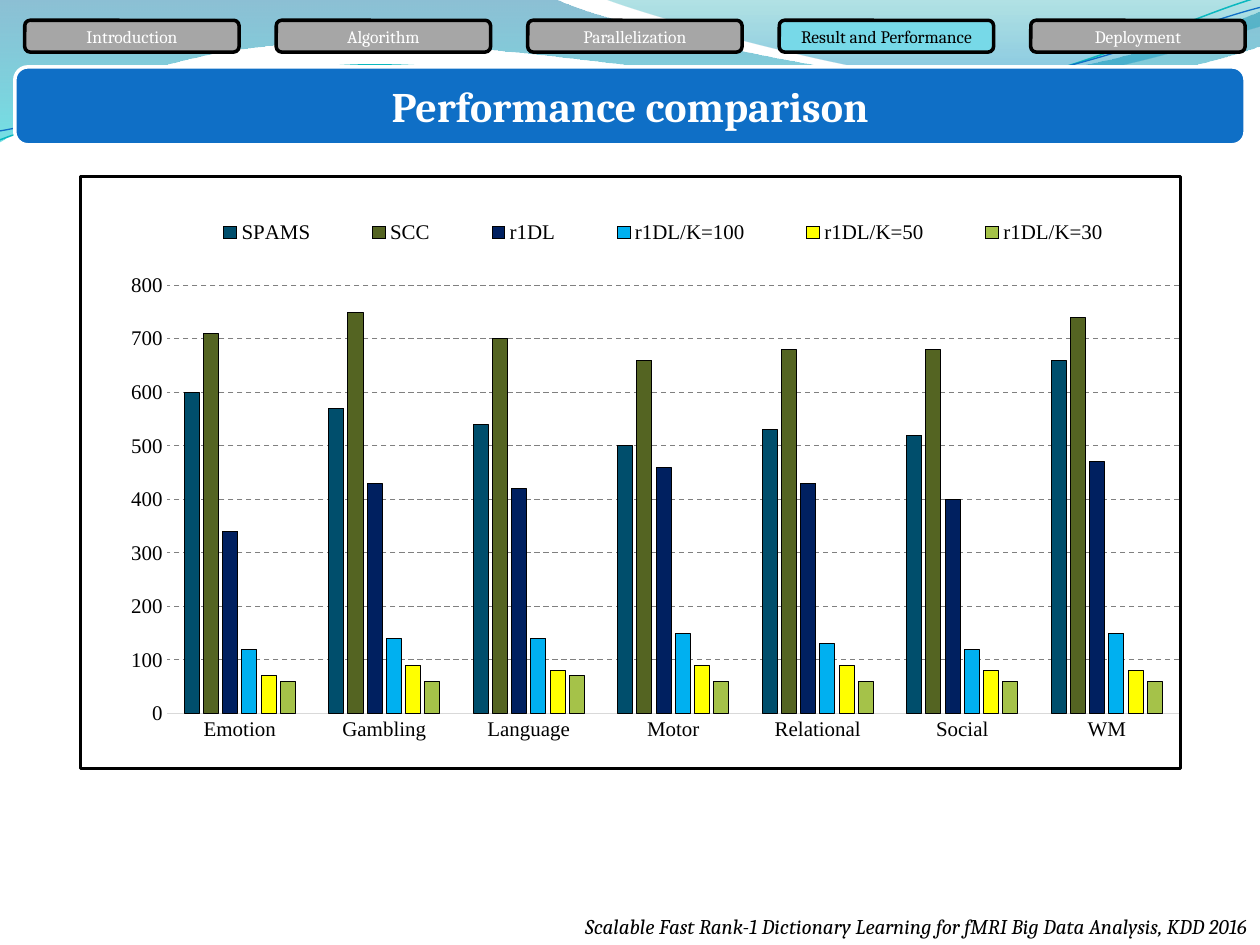
from lxml import etree
from pptx import Presentation, util as u
from pptx.chart.data import CategoryChartData
from pptx.dml.color import RGBColor
from pptx.enum import chart as ch, dml, shapes, text
from pptx.oxml import parse_xml
from pptx.oxml.ns import nsdecls, qn

Cm, Pt = u.Cm, u.Pt
SERIF = "Times New Roman"
BAR = Cm(0.3), Cm(1.35), Cm(24.8), Cm(1.57)

TABS = ["Introduction", "Algorithm", "Parallelization",
        "Result and Performance", "Deployment"]
ACTIVE = "Result and Performance"

# Wave outlines in cm: a step of one point is a line, of three a curve.
BACK = [(0, -.03)], [(11.18, -.03)], \
    [(12.09, .43), (16.87, 1.6), (19.25, 1.6)], \
    [(21.67, 1.6), (24.33, .66), (25.4, .23)], [(25.43, .91)], \
    [(24.97, 1.12), (22.1, 1.93), (18.95, 1.91)], \
    [(15.8, 1.91), (9.7, .71), (6.53, .86)], \
    [(3.28, .89), (1.17, 2.11), (-.03, 2.87)]
FRONT = [(12.17, -.03)], [(12.93, .28), (17.32, 1.57), (19.53, 1.65)], \
    [(21.74, 1.75), (24.41, .81), (25.4, .53)], [(25.4, 0)]
# The two thin curves are given level and then tilted.
TEAL = [(-.05, 2.22)], [(1.19, 1.82), (4.02, 1.04), (7.05, 1.05)], \
    [(10.05, 1.07), (15.02, 2.37), (18.08, 2.29)], \
    [(21.13, 2.2), (23.86, .91), (25.41, .55)]
BLUE = [(-.04, 2.04)], [(1.16, 1.9), (4.17, 1.15), (7.2, 1.16)], \
    [(10.25, 1.18), (15.13, 2.23), (18.19, 2.16)], \
    [(21.22, 2.1), (23.93, 1.06), (25.45, .75)]

TASKS = ["Emotion", "Gambling", "Language", "Motor", "Relational",
         "Social", "WM"]
SERIES = [
    ("SPAMS", "004E6C", (600, 570, 540, 500, 530, 520, 660)),
    ("SCC", "546422", (710, 750, 700, 660, 680, 680, 740)),
    ("r1DL", "002060", (340, 430, 420, 460, 430, 400, 470)),
    ("r1DL/K=100", "00B0F0", (120, 140, 140, 150, 130, 120, 150)),
    ("r1DL/K=50", "FFFF00", (70, 90, 80, 90, 90, 80, 80)),
    ("r1DL/K=30", "A5C249", (60, 60, 70, 60, 60, 60, 60)),
]


def paint(fill, tone):
    fill.solid()
    fill.fore_color.rgb = RGBColor.from_string(tone)


def stroke(line, tone, width):
    paint(line.fill, tone)
    line.width = Pt(width)


def style(font, size, tone, name="Cambria"):
    font.size, font.name = Pt(size), name
    font.color.rgb = RGBColor.from_string(tone)


def write(shape, words, align, size, tone):
    """Put one run in the shape and return its font."""
    frame = shape.text_frame
    frame.word_wrap = True
    para = frame.paragraphs[0]
    para.alignment = align
    run = para.add_run()
    run.text = words
    style(run.font, size, tone)
    return run.font


def add_path(slide, steps, close):
    """Build through all points, then join each three into one cubic curve."""
    pts = [(Cm(x), Cm(y)) for step in steps for x, y in step]
    pen = slide.shapes.build_freeform(*pts[0])
    pen.add_line_segments(pts[1:], close=close)
    shape = pen.convert_to_shape()
    shape.shadow.inherit = False
    legs = iter(list(shape._element.iter(qn("a:lnTo"))))
    for step in steps[1:]:
        group = [next(legs) for _ in step]
        if len(group) == 3:
            curve = etree.Element(qn("a:cubicBezTo"))
            group[0].addprevious(curve)
            for leg in group:
                curve.append(leg[0])
                leg.getparent().remove(leg)
    return shape


def add_wave(slide, steps, stops):
    """Add a closed wave; each stop is place, colour and opacity."""
    shape = add_path(slide, steps, True)
    shape.line.fill.background()
    shape.fill.gradient()
    shape.fill.gradient_angle = 270
    for stop, (place, tone, alpha) in zip(shape.fill.gradient_stops, stops):
        stop.position = place
        stop.color.rgb = RGBColor.from_string(tone)
    tones = shape._element.spPr.iter(qn("a:srgbClr"))
    for node, (_, _, alpha) in zip(tones, stops):
        etree.SubElement(node, qn("a:alpha"), val=str(alpha * 1000))


def add_curve(slide, steps, tone, width):
    shape = add_path(slide, steps, False)
    shape.rotation = 357.3
    shape.fill.background()
    stroke(shape.line, tone, width)


def add_round(slide, place, tone, edge):
    shape = slide.shapes.add_shape(shapes.MSO_SHAPE.ROUNDED_RECTANGLE, *place)
    shape.shadow.inherit = False
    paint(shape.fill, tone)
    stroke(shape.line, edge, 2)
    return shape


def add_tab(slide, i, words):
    on = words == ACTIVE
    place = Cm(0.5 + 5.07 * i), Cm(0.41), Cm(4.32), Cm(0.64)
    tab = add_round(slide, place, "77D9E8" if on else "A6A6A6", "000000")
    frame = tab.text_frame
    frame.margin_left = frame.margin_right = 0
    frame.vertical_anchor = text.MSO_ANCHOR.MIDDLE
    write(tab, words, text.PP_ALIGN.CENTER, 10, "000000" if on else "FFFFFF")


def set_title(slide, words):
    bar = add_round(slide, BAR, "0F6FC6", "FFFFFF")
    title = slide.shapes.title
    title.left, title.top, title.width, title.height = BAR
    title.text_frame.auto_size = text.MSO_AUTO_SIZE.NONE
    title.text_frame.vertical_anchor = text.MSO_ANCHOR.MIDDLE
    write(title, words, text.PP_ALIGN.CENTER, 24, "FFFFFF").bold = True
    bar._element.addnext(title._element)


def layout(x, y, w, h, inner=False):
    target = '<c:layoutTarget val="inner"/>' if inner else ""
    return parse_xml(
        f'<c:layout {nsdecls("c")}><c:manualLayout>{target}'
        '<c:xMode val="edge"/><c:yMode val="edge"/>'
        f'<c:x val="{x}"/><c:y val="{y}"/><c:w val="{w}"/><c:h val="{h}"/>'
        '</c:manualLayout></c:layout>')


def set_frame(chart):
    """Give the chart area a white fill, a border and fixed places."""
    root = chart._chartSpace
    root.find(qn("c:chart")).addnext(parse_xml(
        f'<c:spPr {nsdecls("c", "a")}>'
        '<a:solidFill><a:srgbClr val="FFFFFF"/></a:solidFill>'
        '<a:ln w="19050"><a:solidFill><a:srgbClr val="000000"/></a:solidFill>'
        '</a:ln></c:spPr>'))
    area = root.find(".//" + qn("c:plotArea"))
    legend = root.find(".//" + qn("c:legend"))
    for part in (area, legend):
        for old in part.findall(qn("c:layout")):
            part.remove(old)
    area.insert(0, layout(0.08, 0.18, 0.92, 0.72, True))
    area[0][0].find(qn("c:x")).set("val", "0.079")
    area[0][0].find(qn("c:y")).set("val", "0.184")
    area[0][0].find(qn("c:h")).set("val", "0.723")
    legend.find(qn("c:legendPos")).addnext(layout(0.08, 0.06, 0.9, 0.07))


def add_bars(slide):
    data = CategoryChartData(number_format="0")
    data.categories = TASKS
    for name, _, vals in SERIES:
        data.add_series(name, vals)
    chart = slide.shapes.add_chart(ch.XL_CHART_TYPE.COLUMN_CLUSTERED, Cm(1.6),
                                   Cm(3.53), Cm(22.22), Cm(11.99), data).chart
    style(chart.font, 10, "000000", "Vollkorn")
    chart.has_title = False
    chart.has_legend = True
    chart.legend.position = ch.XL_LEGEND_POSITION.BOTTOM
    chart.legend.include_in_layout = False
    style(chart.legend.font, 12, "000000", SERIF)
    plot = chart.plots[0]
    plot.gap_width, plot.overlap, plot.vary_by_categories = 219, -27, False
    for bar, (_, tone, _) in zip(plot.series, SERIES):
        paint(bar.format.fill, tone)
        stroke(bar.format.line, "000000", 0.5)
    cat, val = chart.category_axis, chart.value_axis
    for axis in (cat, val):
        axis.major_tick_mark = axis.minor_tick_mark = ch.XL_TICK_MARK.NONE
        style(axis.tick_labels.font, 12, "000000", SERIF)
    stroke(cat.format.line, "D9D9D9", 0.75)
    val.format.line.fill.background()
    val.minimum_scale, val.maximum_scale, val.major_unit = 0, 800, 100
    grid = val.major_gridlines.format.line
    stroke(grid, "808080", 0.75)
    grid.dash_style = dml.MSO_LINE.DASH
    set_frame(chart)


def add_source(slide, words):
    box = slide.shapes.add_textbox(0, Cm(18.29), Cm(25.4), Cm(0.76))
    write(box, words, text.PP_ALIGN.RIGHT, 12, "000000").italic = True


def main():
    deck = Presentation()
    deck.slide_width, deck.slide_height = Cm(25.4), Cm(19.05)
    slide = deck.slides.add_slide(deck.slide_layouts[5])
    add_wave(slide, BACK, [(0, "0074A1", 45), (1, "00C6CF", 55)])
    add_wave(slide, FRONT, [(0, "00A1A9", 30), (0.8, "008BBF", 45)])
    add_curve(slide, TEAL, "0AB8BF", 0.85)
    add_curve(slide, BLUE, "0F6FC6", 0.75)
    for i, words in enumerate(TABS):
        add_tab(slide, i, words)
    set_title(slide, "Performance comparison")
    add_bars(slide)
    add_source(slide, "Scalable Fast Rank-1 Dictionary Learning for "
                      "fMRI Big Data Analysis, KDD 2016")
    deck.save("out.pptx")


if __name__ == "__main__":
    main()
